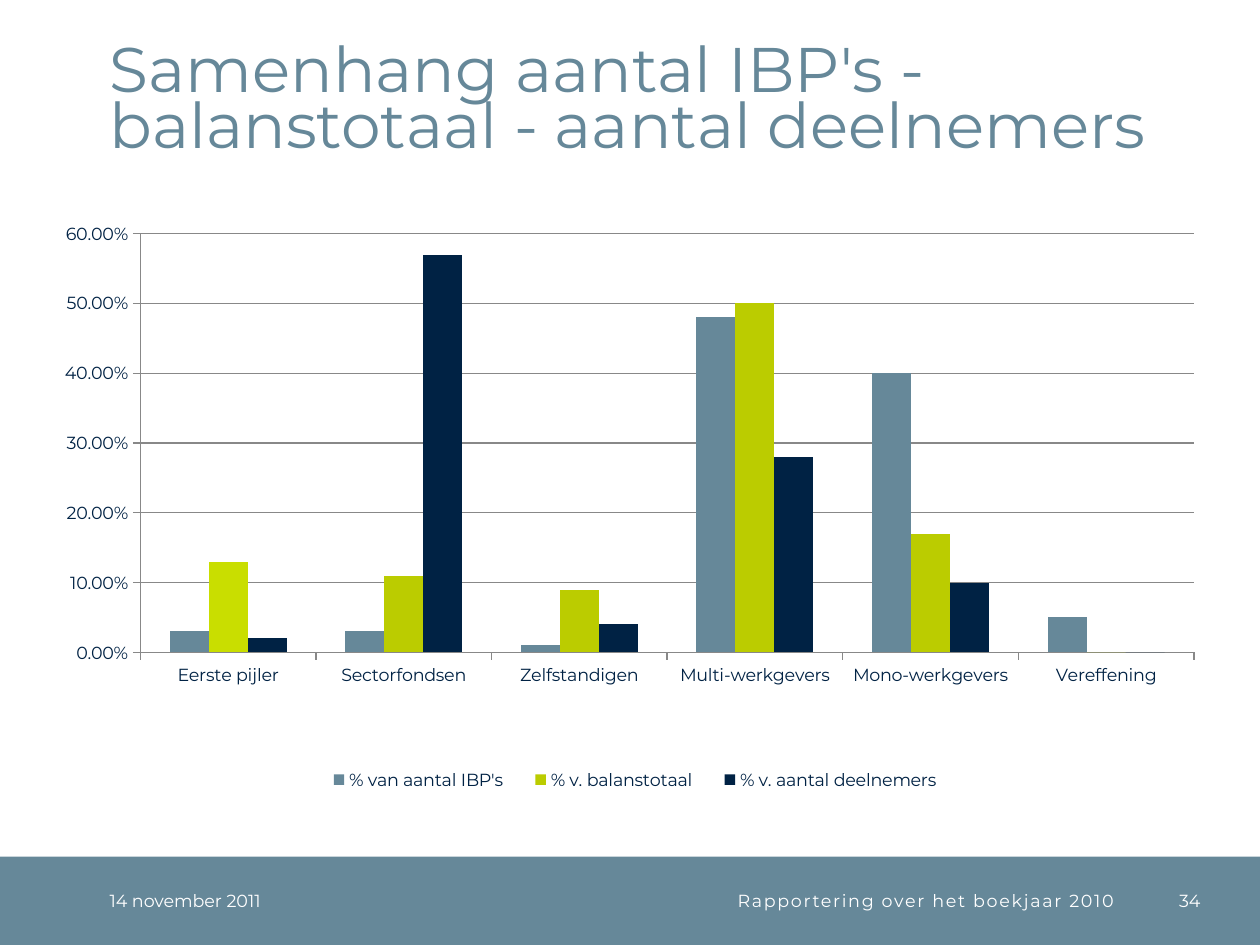
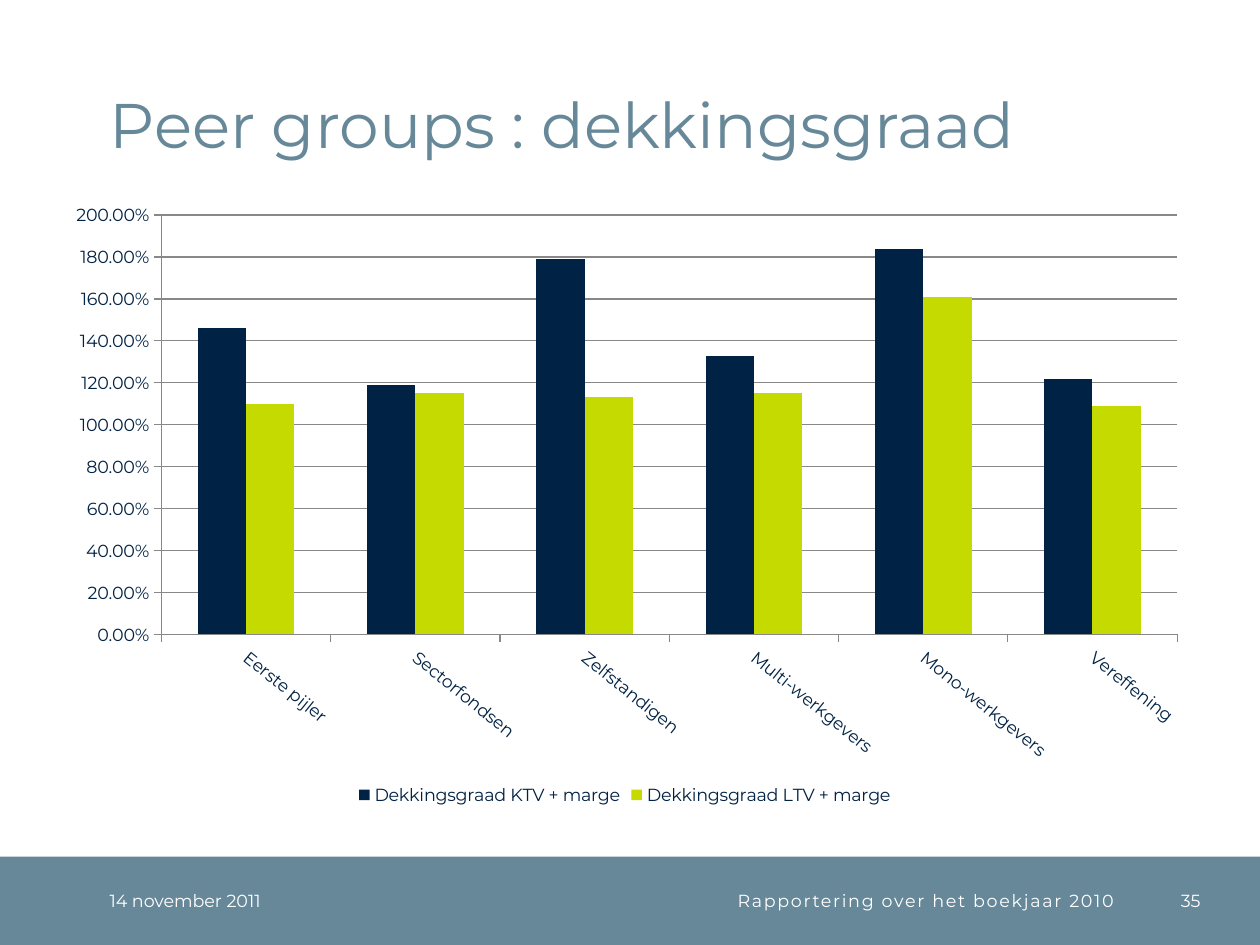
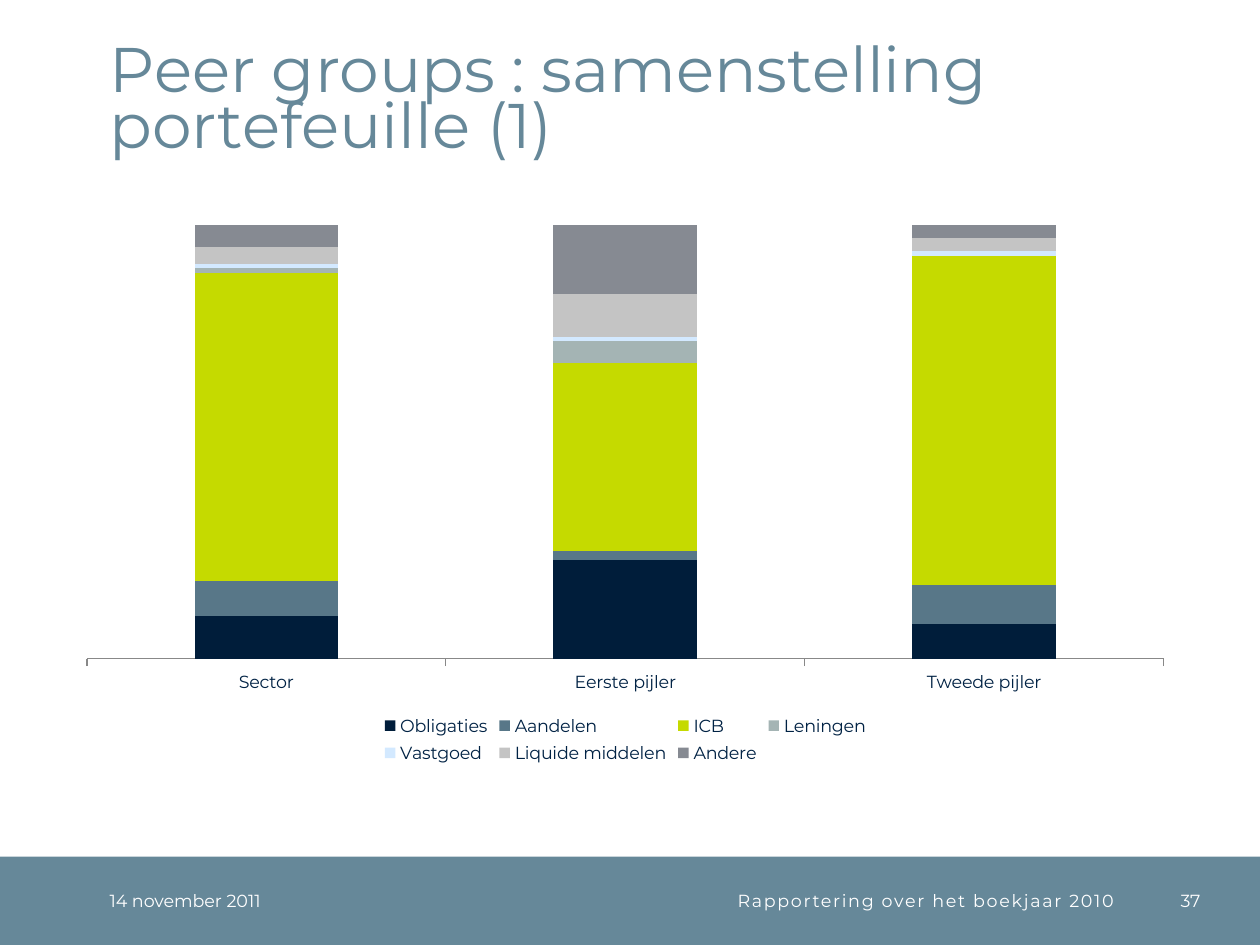
from lxml import etree
from pptx import Presentation
from pptx import util as u
from pptx.chart import data
from pptx.dml import color
from pptx.enum import chart as ch
from pptx.enum import shapes, text

FONT = "Montserrat"
SLATE, NAVY, LIME, WHITE, GREY = "668899", "002244", "C5DA00", "FFFFFF", "888888"
BAND_TOP, BAND_HEIGHT = 17.27, 1.78
CHART_NS = "http://schemas.openxmlformats.org/drawingml/2006/chart"
PEER_GROUPS = ["Eerste pijler", "Sectorfondsen", "Zelfstandigen",
               "Multi-werkgevers", "Mono-werkgevers", "Vereffening"]


def rgb(hex_code):
    """Turn a hex string into a colour."""
    return color.RGBColor.from_string(hex_code)


def cm(*lengths):
    """Convert several lengths from centimetres."""
    return [u.Cm(length) for length in lengths]


def style_font(font, size, hex_code):
    """Apply the deck's typeface with a size and colour."""
    font.name, font.size, font.color.rgb = FONT, u.Pt(size), rgb(hex_code)


def set_text(holder, words, size, hex_code, anchor, align=text.PP_ALIGN.LEFT):
    """Fill a holder with one paragraph that has no margins."""
    frame = holder.text_frame
    frame.text = words
    frame.word_wrap = True
    frame.auto_size = text.MSO_AUTO_SIZE.NONE
    frame.vertical_anchor = anchor
    frame.margin_left = frame.margin_right = frame.margin_top = frame.margin_bottom = 0
    paragraph = frame.paragraphs[0]
    paragraph.alignment = align
    style_font(paragraph.runs[0].font, size, hex_code)
    return paragraph


def add_band(prs, slide):
    """Put the footer band on the master, drawn by way of a slide."""
    band = slide.shapes.add_shape(shapes.MSO_SHAPE.RECTANGLE,
                                  *cm(0, BAND_TOP, 25.4, BAND_HEIGHT))
    band.shadow.inherit = False
    band.fill.solid()
    band.fill.fore_color.rgb = rgb(SLATE)
    band.line.fill.background()
    prs.slide_master.shapes.element.insert(2, band.element)


def add_footer(slide, left, width, words, align, spacing=0):
    """Write one footer item on the band."""
    footer = slide.shapes.add_textbox(*cm(left, BAND_TOP, width, BAND_HEIGHT))
    set_text(footer, words, 10, WHITE, text.MSO_ANCHOR.MIDDLE, align)
    if spacing:
        footer.element.xpath(".//a:rPr")[0].set("spc", str(spacing * 100))


def add_slide(prs, title, number):
    """Add a slide with its title and footer items."""
    slide = prs.slides.add_slide(prs.slide_layouts[5])
    heading = slide.shapes.title
    heading.left, heading.top, heading.width, heading.height = cm(2.21, 0.51, 21.92, 2.74)
    paragraph = set_text(heading, title, 36, SLATE, text.MSO_ANCHOR.BOTTOM)
    paragraph.line_spacing = u.Pt(32)
    add_footer(slide, 2.21, 4.5, "14 november 2011", text.PP_ALIGN.LEFT)
    add_footer(slide, 6.71, 15.75, "Rapportering over het boekjaar 2010",
               text.PP_ALIGN.RIGHT, 1)
    add_footer(slide, 22.96, 1.24, str(number), text.PP_ALIGN.RIGHT)
    return slide


def set_layout(part, place, inner=False):
    """Fix the place of a plot area or legend as fractions of the chart."""
    for old in part.findall(f"{{{CHART_NS}}}layout"):
        part.remove(old)
    layout = etree.Element(f"{{{CHART_NS}}}layout")
    manual = etree.SubElement(layout, f"{{{CHART_NS}}}manualLayout")
    settings = [("layoutTarget", "inner")] if inner else []
    settings += [("xMode", "edge"), ("yMode", "edge"), *zip("xywh", place)]
    for tag, value in settings:
        etree.SubElement(manual, f"{{{CHART_NS}}}{tag}").set("val", str(value))
    part.insert(0 if inner else 1, layout)


def style_axis(axis):
    """Give an axis grey lines, outward ticks and small labels."""
    axis.format.line.color.rgb = rgb(GREY)
    axis.format.line.width = u.Pt(0.75)
    axis.major_tick_mark = ch.XL_TICK_MARK.OUTSIDE
    axis.minor_tick_mark = ch.XL_TICK_MARK.NONE
    style_font(axis.tick_labels.font, 10, NAVY)


def style_scale(axis, top, step):
    """Show a percentage scale with grid lines."""
    style_axis(axis)
    axis.minimum_scale, axis.maximum_scale, axis.major_unit = 0, top, step
    axis.tick_labels.number_format = "0.00%"
    axis.tick_labels.number_format_is_linked = False
    axis.has_major_gridlines = True
    grid = axis.major_gridlines.format.line
    grid.color.rgb, grid.width = rgb(GREY), u.Pt(0.75)


def add_columns(slide, place, categories, series, plot_place,
                scale=None, legend_place=None):
    """Add a column chart: clustered with a scale, otherwise stacked to 100%."""
    numbers = data.CategoryChartData(number_format="0.00%" if scale else "0")
    numbers.categories = categories
    for name, values, _ in series:
        numbers.add_series(name, values)
    kind = ch.XL_CHART_TYPE.COLUMN_CLUSTERED if scale else ch.XL_CHART_TYPE.COLUMN_STACKED_100
    chart = slide.shapes.add_chart(kind, *cm(*place), numbers).chart
    chart.has_title = False
    style_font(chart.font, 10, NAVY)
    plot = chart.plots[0]
    plot.vary_by_categories = False
    plot.gap_width = 150
    plot.overlap = 0 if scale else 100
    for columns, (_, _, hex_code) in zip(plot.series, series):
        columns.format.fill.solid()
        columns.format.fill.fore_color.rgb = rgb(hex_code)
        columns.invert_if_negative = False
    style_axis(chart.category_axis)
    if scale:
        style_scale(chart.value_axis, *scale)
    else:
        chart.value_axis.has_major_gridlines = False
        chart.value_axis.visible = False
    chart.has_legend = True
    chart.legend.position = ch.XL_LEGEND_POSITION.BOTTOM
    chart.legend.include_in_layout = False
    style_font(chart.legend.font, 10, NAVY)
    set_layout(chart.element.xpath(".//c:plotArea")[0], plot_place, inner=True)
    if legend_place:
        set_layout(chart.element.xpath(".//c:legend")[0], legend_place)
    return chart


def add_relation(prs):
    """Build the slide on funds, balance totals and members."""
    slide = add_slide(prs, "Samenhang aantal IBP's - balanstotaal - aantal deelnemers", 34)
    add_band(prs, slide)
    shares = [
        ("% van aantal IBP's", [0.03, 0.03, 0.01, 0.48, 0.4, 0.05], SLATE),
        ("% v. balanstotaal", [0.13, 0.11, 0.09, 0.5, 0.17, 0], "BBCC00"),
        ("% v. aantal deelnemers", [0.02, 0.57, 0.04, 0.28, 0.1, 0], NAVY),
    ]
    chart = add_columns(slide, (1.09, 4.32, 23.19, 11.81), PEER_GROUPS, shares,
                        (0.075, 0.033, 0.916, 0.715), (0.6, 0.1),
                        (0.22, 0.93, 0.57, 0.07))
    first_pillar = chart.plots[0].series[1].points[0].format.fill
    first_pillar.solid()
    first_pillar.fore_color.rgb = rgb("C9DE00")


def add_coverage(prs):
    """Build the slide on coverage ratios."""
    slide = add_slide(prs, "Peer groups : dekkingsgraad", 35)
    ratios = [
        ("Dekkingsgraad KTV + marge", [1.46, 1.19, 1.79, 1.33, 1.84, 1.22], NAVY),
        ("Dekkingsgraad LTV + marge", [1.1, 1.15, 1.13, 1.15, 1.61, 1.09], LIME),
    ]
    chart = add_columns(slide, (1.09, 3.94, 23.01, 12.4), PEER_GROUPS, ratios,
                        (0.094, 0.032, 0.89, 0.682), (2, 0.2))
    label_body = chart.element.xpath(".//c:catAx/c:txPr/a:bodyPr")[0]
    label_body.set("rot", str(39 * 60000))
    label_body.set("vert", "horz")


def add_portfolio(prs):
    """Build the slide on portfolio composition."""
    slide = add_slide(prs, "Peer groups : samenstelling portefeuille (1)", 37)
    assets = [
        ("Obligaties", [10, 23, 8], "001D3A"),
        ("Aandelen", [8, 2, 9], "587788"),
        ("ICB", [72, 44, 76], LIME),
        ("Leningen", [1, 5, 0], "A4B4B4"),
        ("Vastgoed", [1, 1, 1], "D3E9FF"),
        ("Liquide middelen", [4, 10, 3], "C4C4C4"),
        ("Andere", [5, 16, 3], "868A92"),
    ]
    add_columns(slide, (1.3, 4.32, 22.61, 11.2),
                ["Sector", "Eerste pijler", "Tweede pijler"], assets,
                (0.02, 0.02, 0.96, 0.78), legend_place=(0.28, 0.89, 0.44, 0.11))


def main():
    """Build and save the deck."""
    prs = Presentation()
    prs.slide_width, prs.slide_height = cm(25.4, 19.05)
    add_relation(prs)
    add_coverage(prs)
    add_portfolio(prs)
    prs.save("out.pptx")


if __name__ == "__main__":
    main()
